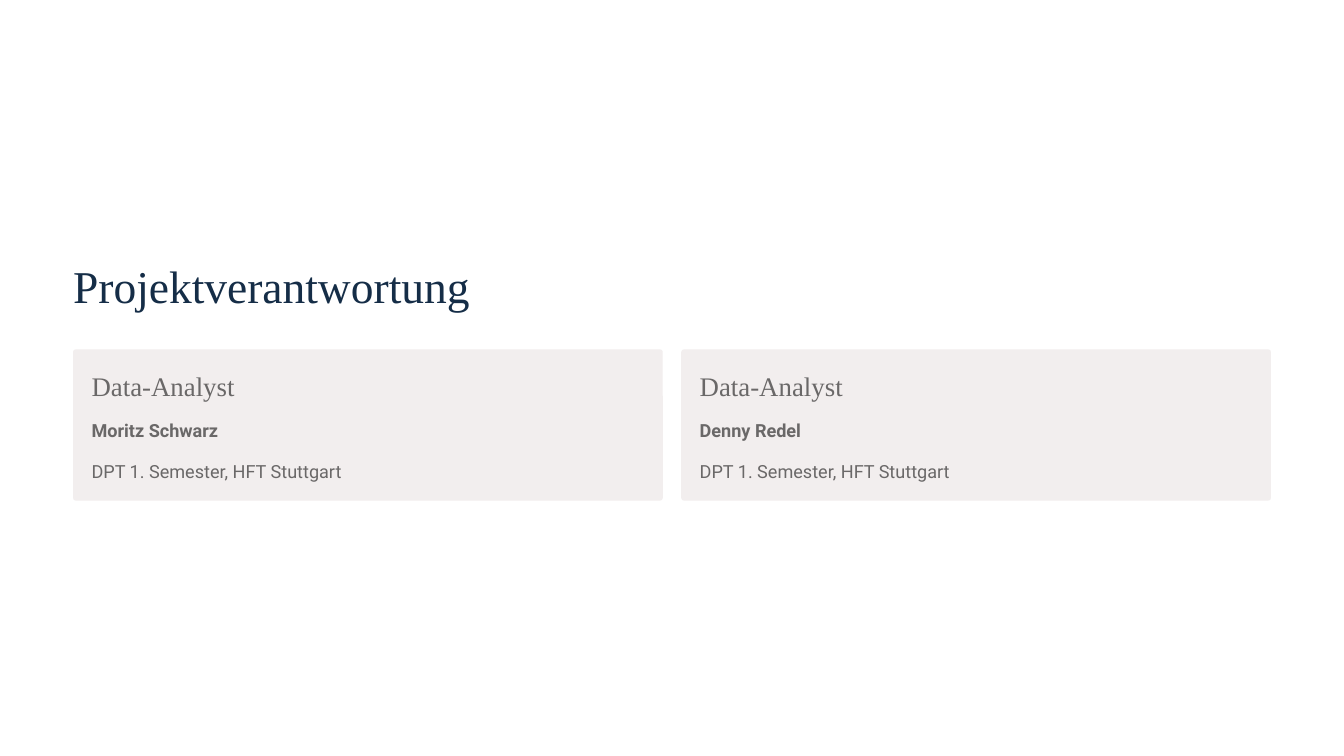
from pptx import Presentation
from pptx.dml.color import RGBColor
from pptx.enum import shapes, text
from pptx.util import Inches, Pt

NAVY, GREY, CARD_FILL = "152D47", "6A6868", "F2EEEE"
SERIF, SANS = "Times New Roman", "Roboto"

LEFT, CARD_TOP = 0.87, 4.16
CARD_WIDTH, CARD_HEIGHT, CARD_GAP = 7.02, 1.8, 0.22
PADDING = 0.22

PEOPLE = [
    ("Data-Analyst", "Moritz Schwarz", "DPT 1. Semester, HFT Stuttgart"),
    ("Data-Analyst", "Denny Redel", "DPT 1. Semester, HFT Stuttgart"),
]


def color(value):
    return RGBColor.from_string(value)


def write(box, words, font, size, ink, spacing, bold=False):
    """Fill a text box or placeholder with one formatted line."""
    frame = box.text_frame
    frame.margin_left = frame.margin_right = 0
    frame.margin_top = frame.margin_bottom = 0
    frame.word_wrap = True
    frame.auto_size = text.MSO_AUTO_SIZE.NONE
    frame.vertical_anchor = text.MSO_ANCHOR.TOP
    para = frame.paragraphs[0]
    para.text = words
    para.alignment = text.PP_ALIGN.LEFT
    para.line_spacing = Pt(spacing)
    para.font.name = font
    para.font.size = Pt(size)
    para.font.bold = bold
    para.font.color.rgb = color(ink)


def add_title(page, words):
    title = page.shapes.title
    title.left, title.top = Inches(LEFT), Inches(3.05)
    title.width, title.height = Inches(5.43), Inches(0.68)
    write(title, words, SERIF, 39, NAVY, 48.5)


def add_label(page, left, top, width, height, *style, bold=False):
    box = page.shapes.add_textbox(
        Inches(left), Inches(top), Inches(width), Inches(height))
    write(box, *style, bold=bold)


def add_card(page, left, role, name, study):
    # Background panel
    panel = page.shapes.add_shape(
        shapes.MSO_SHAPE.ROUNDED_RECTANGLE, Inches(left), Inches(CARD_TOP),
        Inches(CARD_WIDTH), Inches(CARD_HEIGHT))
    panel.adjustments[0] = 0.018
    panel.shadow.inherit = False
    panel.fill.solid()
    panel.fill.fore_color.rgb = color(CARD_FILL)
    panel.line.fill.background()

    # Role, name and course of study
    inner = left + PADDING
    add_label(page, inner, 4.38, 3.26, 0.41, role, SERIF, 23, GREY, 29)
    add_label(page, inner, 4.91, 6.59, 0.35, name, SANS, 15.5, GREY, 25, bold=True)
    add_label(page, inner, 5.39, 6.59, 0.35, study, SANS, 15.5, GREY, 25)


def main():
    deck = Presentation()
    deck.slide_width, deck.slide_height = Inches(16), Inches(9)
    page = deck.slides.add_slide(deck.slide_layouts[5])
    page.background.fill.solid()
    page.background.fill.fore_color.rgb = color("FFFFFF")

    add_title(page, "Projektverantwortung")
    for column, person in enumerate(PEOPLE):
        add_card(page, LEFT + column * (CARD_WIDTH + CARD_GAP), *person)

    deck.save("out.pptx")


if __name__ == "__main__":
    main()
